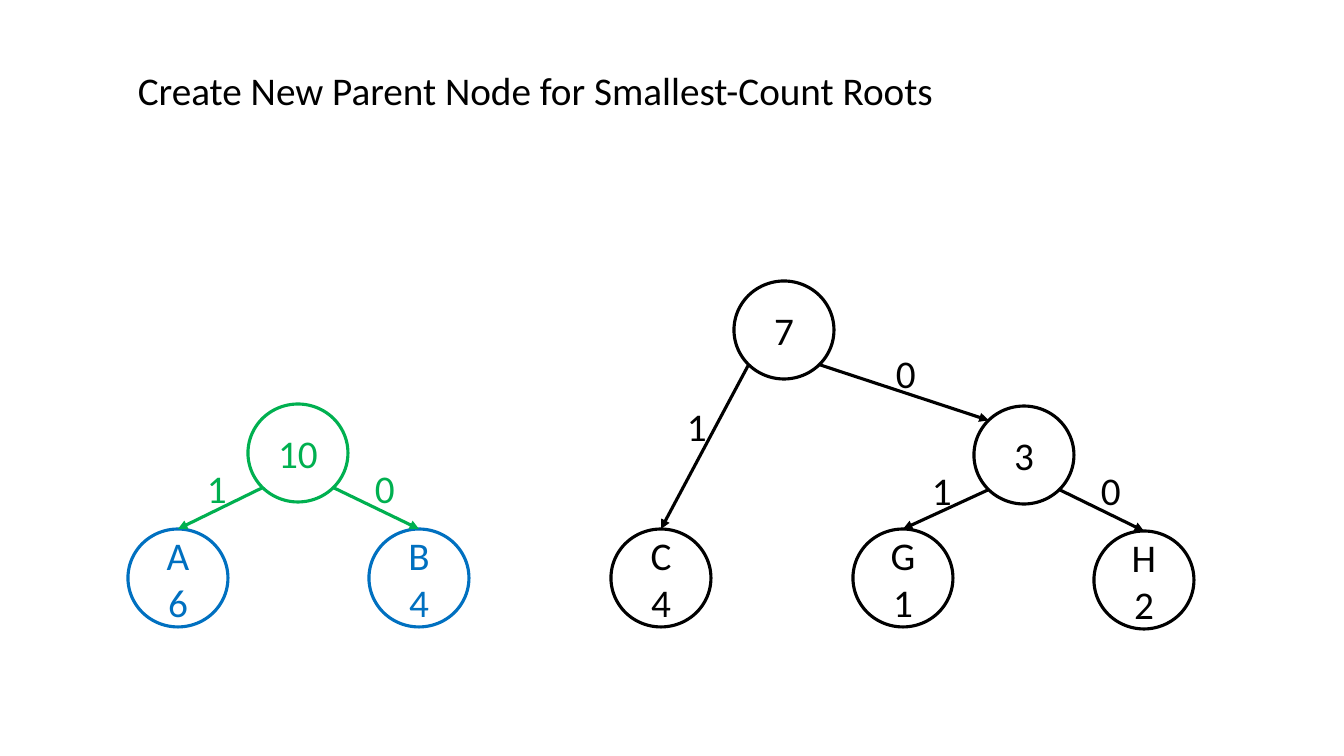
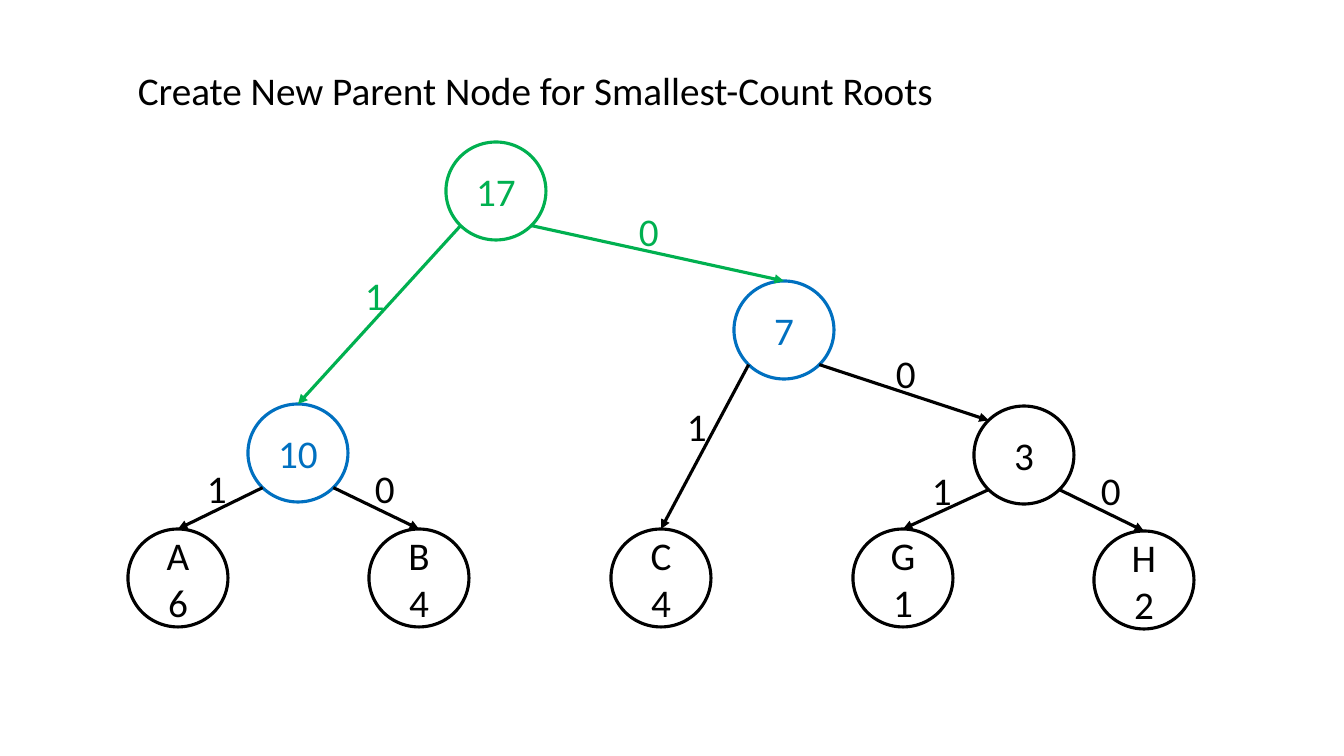
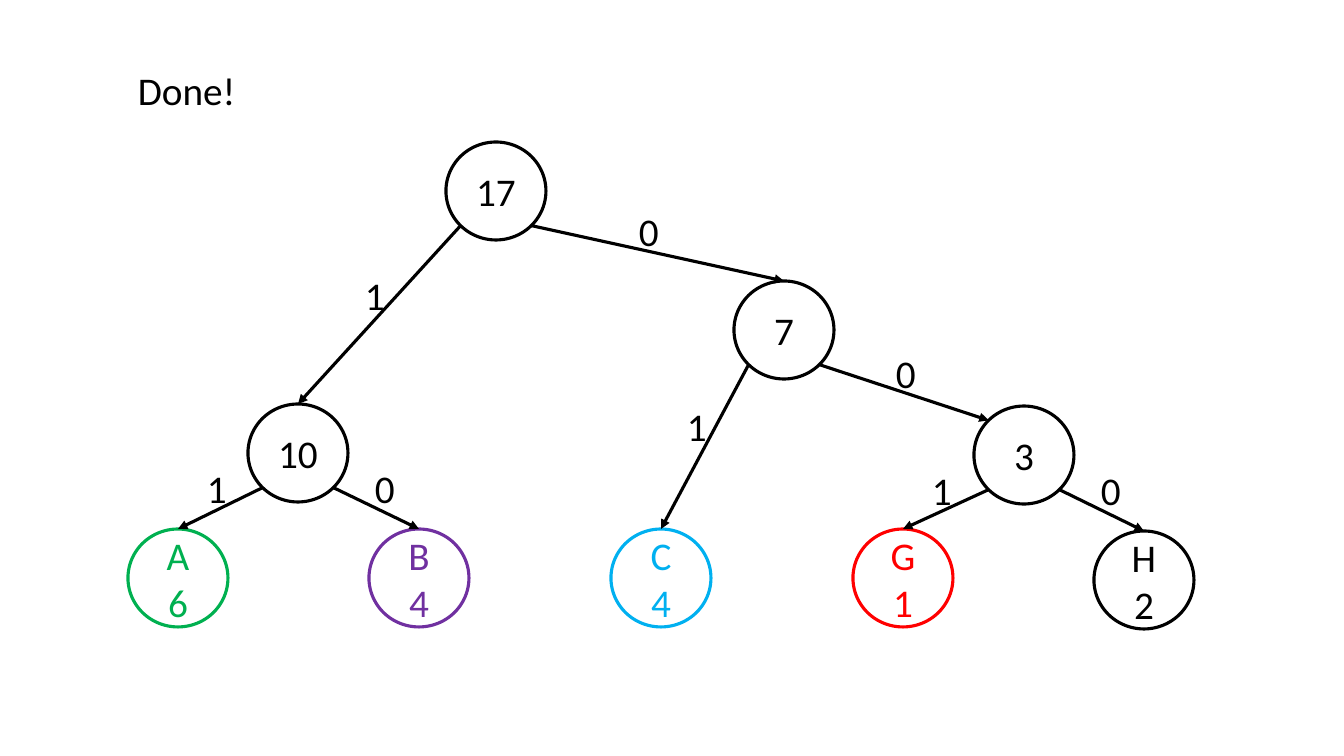
from math import sqrt

from lxml.etree import SubElement
from pptx import Presentation
from pptx.dml.color import RGBColor
from pptx.enum.shapes import MSO_CONNECTOR as Connector, MSO_SHAPE as Preset
from pptx.enum.text import MSO_ANCHOR as Anchor, MSO_AUTO_SIZE as AutoSize, PP_ALIGN as Align
from pptx.oxml.ns import qn
from pptx.util import Pt

BLACK, GREEN, BLUE = "000000", "00B050", "0070C0"
PURPLE, CYAN, RED = "7030A0", "00B0F0", "FF0000"
FONT, FONT_SIZE, LINE_WIDTH = "Calibri", 28, 2.25

SCALE = 914400 / 100.8
SLIDE_SIZE = (1344, 756)
TITLE_BOX = (128, 61, 1217, 58)
NODE_WIDTH, NODE_HEIGHT = 100, 98
LABEL_SIZE = (35, 58)
DIAGONAL = 1 / sqrt(2)

NODES = {
    "A": ("A\n6", 128, 529),
    "B": ("B\n4", 369, 529),
    "C": ("C\n4", 611, 529),
    "G": ("G\n1", 853, 529),
    "H": ("H\n2", 1094, 531),
    "3": ("3", 974, 406),
    "7": ("7", 734, 281),
    "10": ("10", 248, 404),
    "17": ("17", 446, 142),
}

EDGES = [
    ("3", "G", "1", (922, 461), "top"),
    ("3", "H", "0", (1091, 461), "top"),
    ("7", "C", "1", (677, 397), "top"),
    ("7", "3", "0", (886, 344), "top left"),
    ("10", "A", "1", (197, 459), "top"),
    ("10", "B", "0", (365, 459), "top"),
    ("17", "10", "1", (355, 266), "top"),
    ("17", "7", "0", (629, 202), "top"),
]

MERGE_TITLE = "Create New Parent Node for Smallest-Count Roots"
STEPS = [
    {
        "title": MERGE_TITLE,
        "pending": {"17"},
        "new_parent": "10",
        "node_colors": {"A": BLUE, "B": BLUE, "10": GREEN},
    },
    {
        "title": MERGE_TITLE,
        "pending": set(),
        "new_parent": "17",
        "node_colors": {"7": BLUE, "10": BLUE, "17": GREEN},
    },
    {
        "title": "Done!",
        "pending": set(),
        "new_parent": None,
        "node_colors": {"A": GREEN, "B": PURPLE, "C": CYAN, "G": RED},
    },
]

SITES = {
    "top": (0, -1),
    "top left": (-DIAGONAL, -DIAGONAL),
    "bottom left": (-DIAGONAL, DIAGONAL),
    "bottom right": (DIAGONAL, DIAGONAL),
}


def emu(*pixels):
    return [round(pixel * SCALE) for pixel in pixels]


def rgb(color):
    return RGBColor.from_string(color)


def write(text_frame, text, color, align):
    text_frame.text = text
    text_frame.word_wrap = True
    for paragraph in text_frame.paragraphs:
        paragraph.alignment = align
        for run in paragraph.runs:
            run.font.name = FONT
            run.font.size = Pt(FONT_SIZE)
            run.font.color.rgb = rgb(color)


def style_line(line, color):
    line.color.rgb = rgb(color)
    line.width = Pt(LINE_WIDTH)


def add_text(slide, box, text, color, align=Align.LEFT):
    text_frame = slide.shapes.add_textbox(*emu(*box)).text_frame
    write(text_frame, text, color, align)
    text_frame.auto_size = AutoSize.SHAPE_TO_FIT_TEXT


def add_node(slide, name, color):
    text, left, top = NODES[name]
    shape = slide.shapes.add_shape(Preset.OVAL, *emu(left, top, NODE_WIDTH, NODE_HEIGHT))
    shape.shadow.inherit = False
    shape.fill.background()
    style_line(shape.line, color)
    shape.text_frame.vertical_anchor = Anchor.MIDDLE
    write(shape.text_frame, text, color, Align.CENTER)


def site_point(name, site):
    _, left, top = NODES[name]
    across, down = SITES[site]
    return left + NODE_WIDTH / 2 * (1 + across), top + NODE_HEIGHT / 2 * (1 + down)


def add_edge(slide, parent, child, bit, label_corner, child_site, color):
    is_left = bit == "1"
    start = site_point(parent, "bottom left" if is_left else "bottom right")
    end = site_point(child, child_site)
    connector = slide.shapes.add_connector(Connector.STRAIGHT, *emu(*start, *end))
    style_line(connector.line, color)
    SubElement(connector.line._get_or_add_ln(), qn("a:tailEnd"), type="triangle")
    SubElement(connector._element.spPr, qn("a:effectLst"))
    align = Align.CENTER if is_left else Align.LEFT
    add_text(slide, (*label_corner, *LABEL_SIZE), bit, color, align)


def add_step(presentation, step):
    slide = presentation.slides.add_slide(presentation.slide_layouts[6])
    add_text(slide, TITLE_BOX, step["title"], BLACK)
    for name in NODES:
        if name not in step["pending"]:
            add_node(slide, name, step["node_colors"].get(name, BLACK))
    for edge in EDGES:
        parent = edge[0]
        if parent not in step["pending"]:
            add_edge(slide, *edge, GREEN if parent == step["new_parent"] else BLACK)


presentation = Presentation()
presentation.slide_width, presentation.slide_height = emu(*SLIDE_SIZE)
for step in STEPS:
    add_step(presentation, step)
presentation.save("out.pptx")
